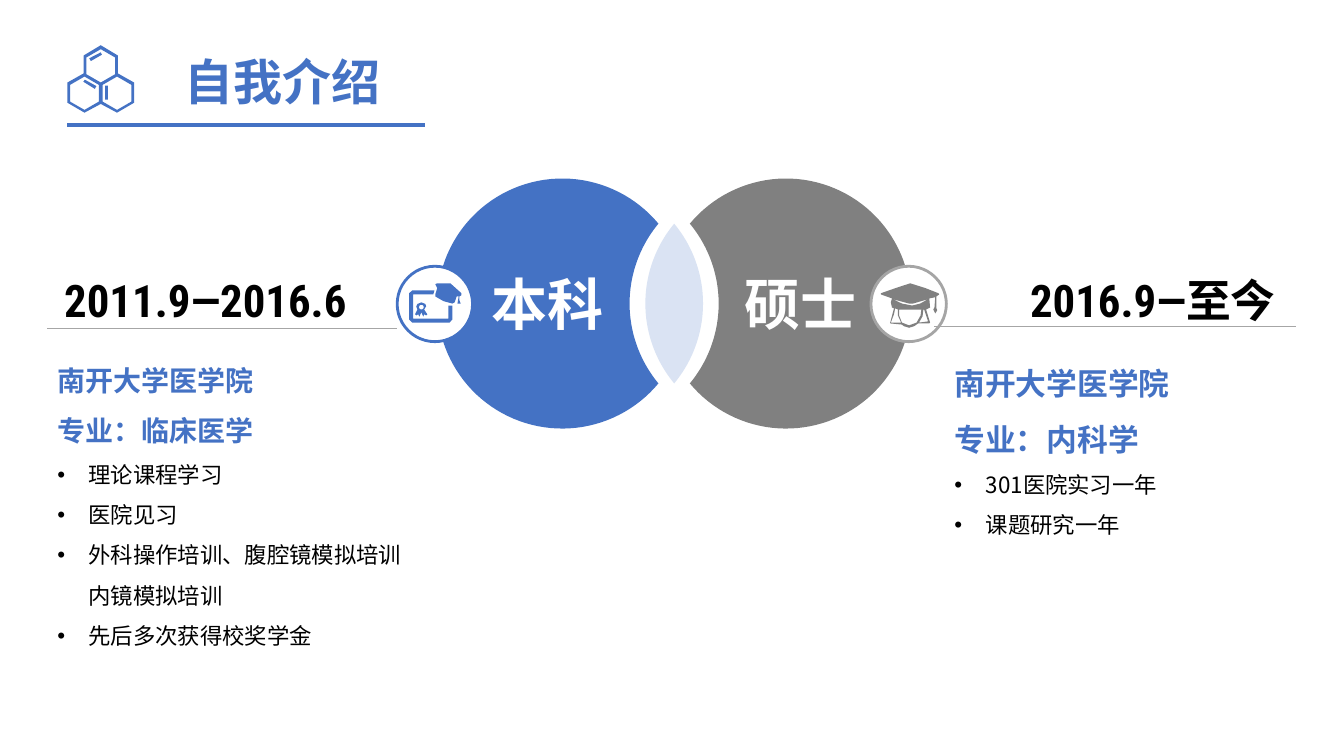
from math import cos, radians, sin

from lxml import etree
from pptx import Presentation
from pptx.dml.color import RGBColor
from pptx.enum.shapes import MSO_CONNECTOR, MSO_SHAPE
from pptx.enum.text import MSO_ANCHOR, MSO_AUTO_SIZE, PP_ALIGN
from pptx.oxml.ns import qn
from pptx.util import Cm, Pt

STRAIGHT, OVAL = MSO_CONNECTOR.STRAIGHT, MSO_SHAPE.OVAL
MIDDLE, NO_FIT = MSO_ANCHOR.MIDDLE, MSO_AUTO_SIZE.NONE
LEFT, CENTER, RIGHT = PP_ALIGN.LEFT, PP_ALIGN.CENTER, PP_ALIGN.RIGHT

# Content
SANS, CONDENSED = "Noto Sans CJK SC", "Roboto Condensed"
BLUE, GREY, PALE = "4472C4", "808080", "DAE3F3"
WHITE, BLACK, RULE, RING = "FFFFFF", "000000", "A6A6A6", "A5A5A5"
TITLE = "自我介绍"
# heading lines, heading size, bullets, box in cm
LISTS = [
    (["南开大学医学院", "专业：临床医学"], 20,
     ["理论课程学习", "医院见习", "外科操作培训、腹腔镜模拟培训内镜模拟培训", "先后多次获得校奖学金"],
     (1.19, 8.61, 9.47, 8.08)),
    (["南开大学医学院", "专业：内科学"], 22,
     ["301医院实习一年", "课题研究一年"],
     (23.8, 8.61, 10.07, 6.53)),
]
# (text, font) runs, alignment, box in cm
DATES = [
    ([("2011.9—2016.6", CONDENSED)], CENTER, (1.19, 6.76, 7.98, 1.47)),
    ([("2016.9—", CONDENSED), ("至今 ", SANS)], RIGHT, (25.37, 6.76, 7.29, 1.47)),
]
# start x, end x, y, colour, width in points
LINES = [(1.7, 10.72, 3.15, BLUE, 3), (1.19, 10.01, 8.28, RULE, 0.5), (23.55, 32.66, 8.23, RULE, 0.5)]
DEGREES = [("本科", BLUE, 1), ("硕士", GREY, -1)]  # label, colour, side
BADGES = [(10.01, BLUE), (21.95, RING)]  # left edge, ring colour

# Venn geometry in cm: every arc has the same radius
AXIS, CENTRE_Y, RADIUS, OPENING = 16.99, 7.65, 3.15, 39.7
DISC_OFFSET = 2.82
HALF_CHORD = RADIUS * cos(radians(OPENING))

# Icon outlines in cm
HEXAGON_CENTRES = [(2.54, 1.66), (2.13, 2.35), (2.95, 2.35)]
HEXAGON_EDGE = [(2.54, 1.14), (2.97, 1.4), (2.97, 1.85), (3.38, 2.08), (3.38, 2.59), (2.95, 2.84),
                (2.54, 2.62), (2.13, 2.84), (1.7, 2.59), (1.7, 2.08), (2.11, 1.85), (2.11, 1.4)]
BONDS = [
    [(2.65, 2.16), (2.72, 2.16), (2.72, 2.51), (2.65, 2.51)],
    [(2.1, 2.06), (2.14, 2.01), (2.43, 2.17), (2.39, 2.24)],
    [(2.54, 1.32), (2.57, 1.38), (2.29, 1.54), (2.25, 1.47)],
]
DIPLOMA = [
    [(10.39, 7.32), (10.95, 7.32), (10.92, 7.42), (10.41, 7.42), (10.41, 8.03), (11.3, 8.03), (11.3, 7.7),
     (11.4, 7.7), (11.4, 8.05), (11.33, 8.13), (10.39, 8.13), (10.31, 8.05), (10.31, 7.39)],
    [(11.02, 7.14), (11.35, 7.14), (11.63, 7.39), (11.63, 7.44), (11.58, 7.47), (11.58, 7.57), (11.61, 7.65),
     (11.53, 7.65), (11.56, 7.47), (11.51, 7.47), (11.46, 7.62), (11.4, 7.65), (11.18, 7.59), (10.97, 7.47),
     (10.97, 7.42), (11.02, 7.26), (10.97, 7.16)],
    [(10.62, 7.62), (10.72, 7.66), (10.74, 7.72), (10.69, 7.8), (10.77, 7.92), (10.74, 7.95), (10.69, 7.92),
     (10.67, 7.98), (10.62, 7.87), (10.57, 7.98), (10.54, 7.92), (10.49, 7.95), (10.46, 7.92), (10.52, 7.8),
     (10.49, 7.72), (10.52, 7.66)],
]
SEAL_HOLE = (10.62, 7.74, 0.06)
GRADUATE = [
    [(22.94, 7.14), (23.32, 7.26), (23.65, 7.39), (23.67, 7.42), (23.6, 7.47), (23.6, 7.77), (23.62, 7.82),
     (23.57, 7.9), (23.52, 7.8), (23.55, 7.75), (23.57, 7.49), (23.42, 7.52), (23.44, 7.75), (23.34, 7.8),
     (23.44, 8.13), (23.42, 8.15), (23.14, 8.15), (23.04, 8.22), (22.91, 8.26), (22.78, 8.22), (22.73, 8.18),
     (22.43, 8.15), (22.53, 7.77), (22.48, 7.75), (22.45, 7.62), (22.48, 7.52), (22.2, 7.42), (22.2, 7.39),
     (22.63, 7.24)],
    [(22.66, 7.8), (23.22, 7.8), (23.2, 7.95), (23.1, 8.13), (22.91, 8.2), (22.73, 8.13), (22.66, 7.95)],
    [(22.56, 7.77), (22.63, 7.8), (22.63, 7.95), (22.71, 8.13), (22.45, 8.13), (22.53, 7.92)],
    [(23.27, 7.8), (23.29, 7.8), (23.39, 8.1), (23.16, 8.13), (23.25, 7.97)],
    [(22.5, 7.54), (22.91, 7.65), (23.01, 7.65), (23.39, 7.54), (23.19, 7.65), (22.99, 7.7), (22.73, 7.65)],
]


def rgb(value):
    return RGBColor.from_string(value)


def arc(x, y, radius, start, end, steps=48):
    angles = [radians(start + (end - start) * step / steps) for step in range(steps + 1)]
    return [(x + radius * cos(angle), y + radius * sin(angle)) for angle in angles]


def place(shape, box):
    for name, value in zip(("left", "top", "width", "height"), box):
        setattr(shape, name, Cm(value))


def add_run(paragraph, text, size, color, font=SANS, bold=True):
    run = paragraph.add_run()
    run.text = text
    for name, value in {"size": Pt(size), "bold": bold, "name": font}.items():
        setattr(run.font, name, value)
    run.font.color.rgb = rgb(color)
    etree.SubElement(run.font._element, qn("a:ea")).set("typeface", font)


def set_bullet(paragraph, bulleted):
    properties = paragraph._p.get_or_add_pPr()
    indent = Cm(0.79) if bulleted else 0
    properties.set("marL", str(indent))
    properties.set("indent", str(-indent))
    if bulleted:
        etree.SubElement(properties, qn("a:buFont")).set("typeface", "Arial")
        etree.SubElement(properties, qn("a:buChar")).set("char", "•")
    else:
        etree.SubElement(properties, qn("a:buNone"))


def add_outline(slide, contours, color):
    contours = [[(Cm(x), Cm(y)) for x, y in contour] for contour in contours]
    builder = slide.shapes.build_freeform(*contours[0][0])
    for number, contour in enumerate(contours):
        if number:
            builder.move_to(*contour[0])
        builder.add_line_segments(contour[1:], close=True)
    shape = builder.convert_to_shape()
    shape.shadow.inherit = False
    shape.fill.solid()
    shape.fill.fore_color.rgb = rgb(color)
    shape.line.fill.background()
    return shape


def add_line(slide, start, end, y, color, width):
    line = slide.shapes.add_connector(STRAIGHT, Cm(start), Cm(y), Cm(end), Cm(y))
    line.line.color.rgb = rgb(color)
    line.line.width = Pt(width)
    etree.SubElement(line._element.spPr, qn("a:effectLst"))


def main():
    presentation = Presentation()
    presentation.slide_width, presentation.slide_height = Cm(33.87), Cm(19.05)
    slide = presentation.slides.add_slide(presentation.slide_layouts[3])
    title, *bodies = slide.placeholders

    # Title
    place(title, (3.56, 1.22, 7.11, 1.83))
    for name, value in {"vertical_anchor": MIDDLE, "auto_size": NO_FIT, "word_wrap": True}.items():
        setattr(title.text_frame, name, value)
    paragraph = title.text_frame.paragraphs[0]
    paragraph.alignment, paragraph.line_spacing = CENTER, 0.9
    add_run(paragraph, TITLE, 35, BLUE)

    # School lists
    for body, (headings, size, bullets, box) in zip(bodies, LISTS):
        place(body, box)
        frame = body.text_frame
        frame.auto_size = NO_FIT
        for number, text in enumerate(headings + bullets):
            paragraph = frame.add_paragraph() if number else frame.paragraphs[0]
            bulleted = number >= len(headings)
            for name, value in {"alignment": LEFT, "line_spacing": 1.5, "space_before": Pt(0)}.items():
                setattr(paragraph, name, value)
            set_bullet(paragraph, bulleted)
            add_run(paragraph, text, 16 if bulleted else size, BLACK if bulleted else BLUE, bold=not bulleted)

    # Dates
    for runs, alignment, box in DATES:
        frame = slide.shapes.add_textbox(*map(Cm, box)).text_frame
        frame.word_wrap = False
        frame.paragraphs[0].alignment = alignment
        for text, font in runs:
            add_run(frame.paragraphs[0], text, 32, BLACK, font)

    # Venn discs and overlap
    lens = (arc(AXIS - HALF_CHORD, CENTRE_Y, RADIUS, -OPENING, OPENING)
            + arc(AXIS + HALF_CHORD, CENTRE_Y, RADIUS, 180 - OPENING, 180 + OPENING))
    add_outline(slide, [lens], PALE)
    disc = (arc(-DISC_OFFSET, CENTRE_Y, RADIUS, OPENING, 360 - OPENING, 96)
            + arc(2 * HALF_CHORD - DISC_OFFSET, CENTRE_Y, RADIUS, 180 + OPENING, 180 - OPENING))
    for label, color, side in DEGREES:
        shape = add_outline(slide, [[(AXIS + side * x, y) for x, y in disc]], color)
        shape.text_frame.vertical_anchor = MIDDLE
        shape.text_frame.word_wrap = False
        paragraph = shape.text_frame.paragraphs[0]
        paragraph.alignment = CENTER
        add_run(paragraph, label, 40, WHITE)

    # Badges
    for left, color in BADGES:
        badge = slide.shapes.add_shape(OVAL, Cm(left), Cm(6.71), Cm(1.9), Cm(1.9))
        badge.shadow.inherit = False
        badge.fill.solid()
        badge.fill.fore_color.rgb = rgb(WHITE)
        badge.line.color.rgb = rgb(color)
        badge.line.width = Pt(2)

    # Rules
    for line in LINES:
        add_line(slide, *line)

    # Icons
    cells = [arc(x, y, 0.42, -90, 210, 5) for x, y in HEXAGON_CENTRES]
    add_outline(slide, [HEXAGON_EDGE] + cells + BONDS, BLUE)
    add_outline(slide, DIPLOMA + [arc(*SEAL_HOLE, 0, 345, 23)], BLUE)
    add_outline(slide, GRADUATE, GREY)

    presentation.save("out.pptx")


if __name__ == "__main__":
    main()
